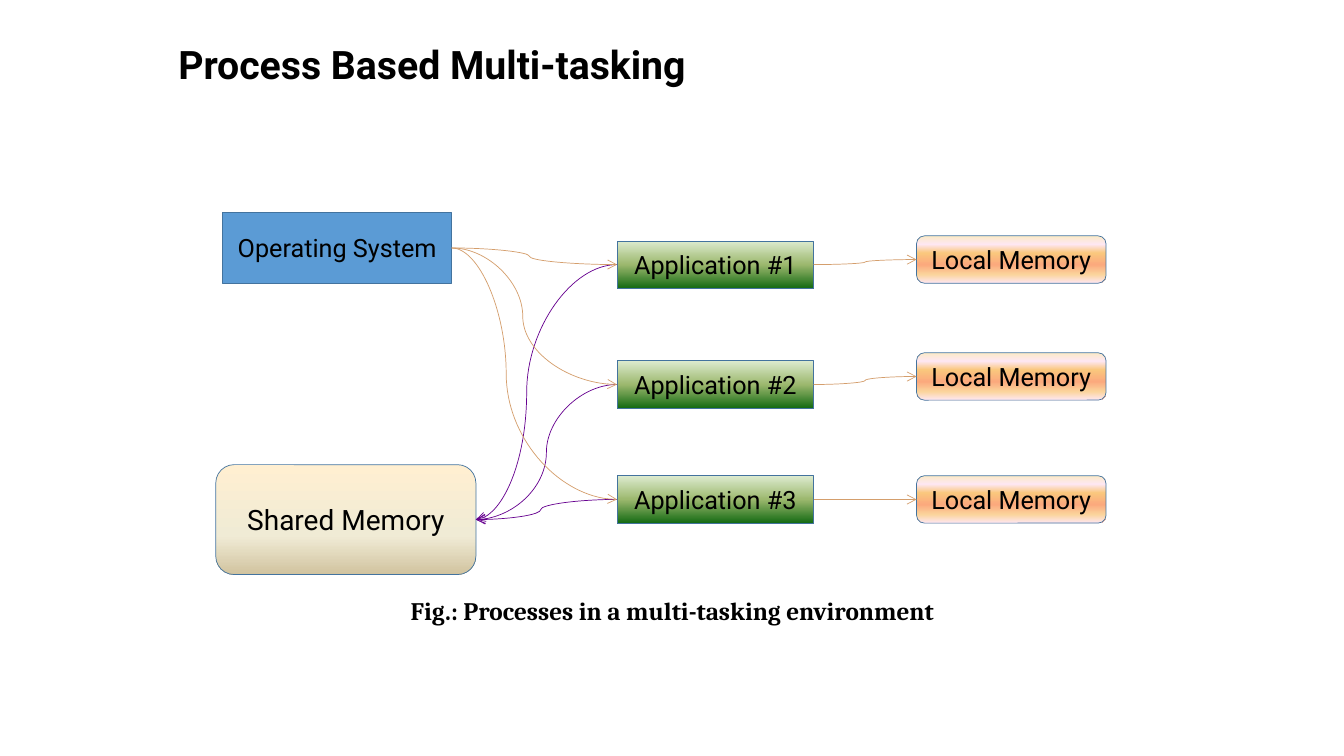
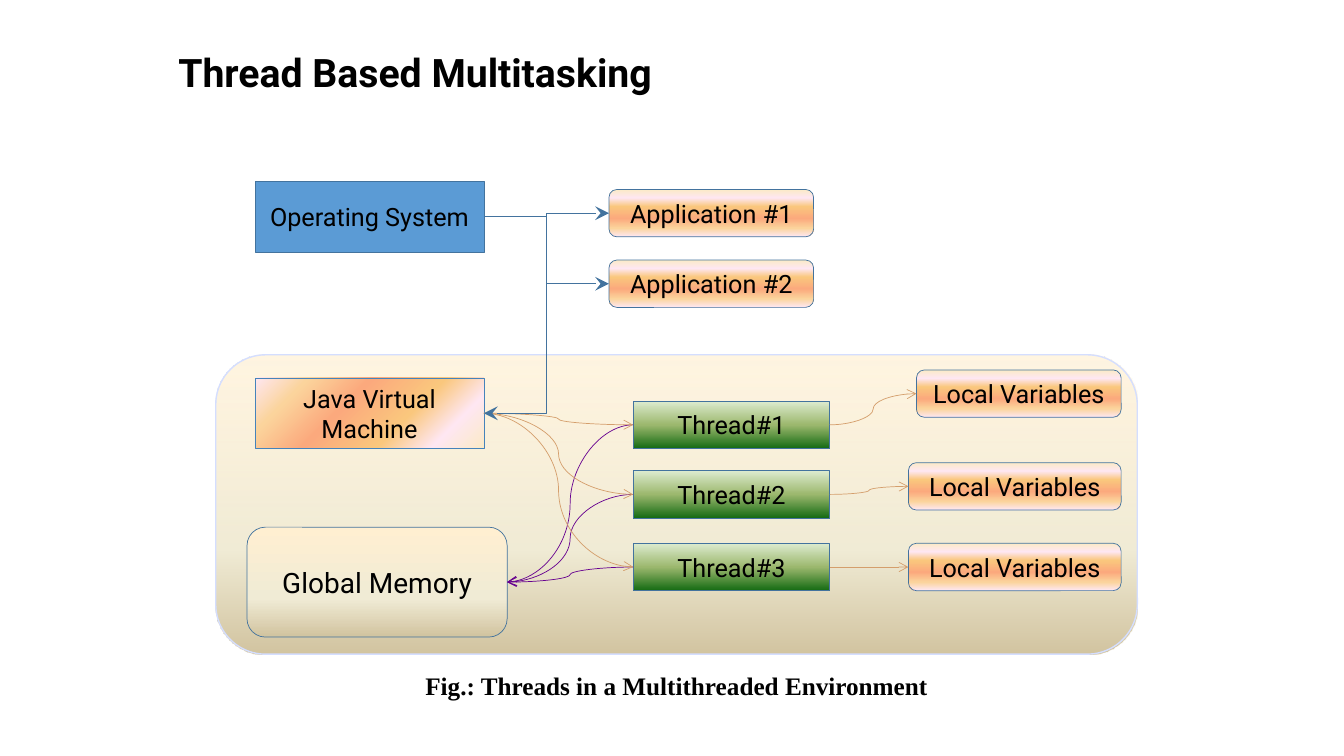
from lxml.etree import SubElement
from pptx import Presentation
from pptx.dml.color import RGBColor
from pptx.enum.shapes import MSO_CONNECTOR, MSO_SHAPE
from pptx.enum.text import MSO_ANCHOR, PP_ALIGN
from pptx.oxml import parse_xml
from pptx.oxml.ns import nsdecls, qn
from pptx.util import Inches, Pt

HUES = {"ink": "000000", "edge": "43739E", "rim": "D4DEFF", "core": "4583BB",
        "blue": "5B9BD5", "tan": "D49E6C", "plum": "66008F"}
PEACH = [(0, "FBEAC7"), (18, "FEE7F2"), (36, "FAC77D"),
         (61, "FBA97D"), (82, "FBD49C"), (100, "FEE7F2")]
GREEN = [(0, "DDEBCF"), (50, "9CB86E"), (100, "156B13")]
SAND = [(0, "FFEFD1"), (65, "F0EBD5"), (100, "D1C39F")]
DOWN = '<a:lin ang="5400000" scaled="0"/>'
ROUND = '<a:path path="circle"><a:fillToRect l="100000" t="100000"/></a:path>'
RECT, SOFT = MSO_SHAPE.RECTANGLE, MSO_SHAPE.ROUNDED_RECTANGLE
LEFT, RIGHT = 1, 3


class Deck:
    """Hold the shared style and the current slide, and draw its elements."""

    def __init__(self):
        self.prs = Presentation()
        self.prs.slide_width = Inches(13.33)
        self.prs.slide_height = Inches(7.5)
        self.slide = None

    def hue(self, name):
        return RGBColor.from_string(HUES[name])

    def words(self, frame, text, size, font="Roboto", bold=False, align=PP_ALIGN.CENTER):
        frame.word_wrap = True
        para = frame.paragraphs[0]
        para.text = text
        para.alignment = align
        para.font.size = Pt(size)
        para.font.name = font
        para.font.bold = bold
        para.font.color.rgb = self.hue("ink")
        return para

    def label(self, x, y, w, h):
        return self.slide.shapes.add_textbox(*map(Inches, (x, y, w, h))).text_frame

    def page(self, title, height):
        self.slide = self.prs.slides.add_slide(self.prs.slide_layouts[6])
        frame = self.label(1.67, 0, 9.5, height)
        frame.vertical_anchor = MSO_ANCHOR.BOTTOM
        self.words(frame, title, 28, bold=True, align=PP_ALIGN.LEFT).line_spacing = 0.9

    def caption(self, text, font, x, y, w, gap=0):
        para = self.words(self.label(x, y, w, 0.4), text, 18, font, bold=True)
        para.space_before = Pt(gap)

    def blend(self, shape, stops, alpha, flow):
        marks = ""
        for spot, tone in stops:
            fade = f'<a:alpha val="{alpha * 1000}"/>' if spot == 0 and alpha < 100 else ""
            marks += f'<a:gs pos="{spot * 1000}"><a:srgbClr val="{tone}">{fade}</a:srgbClr></a:gs>'
        fill = parse_xml(f'<a:gradFill {nsdecls("a")} rotWithShape="1">'
                         f'<a:gsLst>{marks}</a:gsLst>{flow}</a:gradFill>')
        shape._element.spPr.find(qn("a:prstGeom")).addnext(fill)

    def box(self, kind, x, y, w, h, fill, text="", size=18, edge="edge",
            width=0.5, alpha=100, flow=DOWN):
        shape = self.slide.shapes.add_shape(kind, *map(Inches, (x, y, w, h)))
        shape.shadow.inherit = False
        if isinstance(fill, str):
            shape.fill.solid()
            shape.fill.fore_color.rgb = self.hue(fill)
        else:
            self.blend(shape, fill, alpha, flow)
        shape.line.color.rgb = self.hue(edge)
        shape.line.width = Pt(width)
        if text:
            shape.text_frame.vertical_anchor = MSO_ANCHOR.MIDDLE
            self.words(shape.text_frame, text, size)
        return shape

    def line(self, kind, ends, tone, tip="arrow", side="tailEnd", size="med"):
        wire = self.slide.shapes.add_connector(kind, *ends)
        wire.line.color.rgb = self.hue(tone)
        wire.line.width = Pt(0.5)
        stroke = wire._element.spPr.find(qn("a:ln"))
        SubElement(stroke, qn(f"a:{side}"), type=tip, w=size, len=size)
        SubElement(wire._element.spPr, qn("a:effectLst"))
        return wire

    def link(self, start, end, tone, bend=0.5, back=False, kind=MSO_CONNECTOR.CURVE, **tip):
        wire = self.line(kind, (0, 0, 0, 0), tone, **tip)
        wire.begin_connect(start, LEFT if back else RIGHT)
        wire.end_connect(end, RIGHT if back else LEFT)
        rule = wire._element.spPr.find(qn("a:prstGeom")).get_or_add_avLst()
        SubElement(rule, qn("a:gd"), name="adj1", fmla=f"val {round(bend * 100000)}")

    def corner(self, ends, tone, **tip):
        wire = self.line(MSO_CONNECTOR.ELBOW, ends, tone, **tip)
        wire._element.spPr.find(qn("a:prstGeom")).set("prst", "bentConnector2")

    def stack(self, kind, spots, right, fill, texts):
        return [self.box(kind, x, y, right - x, 0.47, fill, text)
                for (x, y), text in zip(spots, texts)]

    def web(self, root, store, tasks, cells, backs, bends):
        for task, bend in zip(tasks, backs):
            self.link(task, store, "plum", bend, back=True)
        for task, bend in zip(tasks, bends):
            self.link(root, task, "tan", bend)
        for task, cell in zip(tasks, cells):
            self.link(task, cell, "tan")


def process(deck):
    deck.page("Process Based Multi-tasking", 0.92)
    cells = deck.stack(SOFT, [(9.09, y) for y in (2.34, 3.5, 4.72)], 10.97,
                       PEACH, ["Local Memory"] * 3)
    apps = deck.stack(RECT, [(6.12, y) for y in (2.39, 3.58, 4.72)], 8.07,
                      GREEN, [f"Application #{n}" for n in (1, 2, 3)])
    host = deck.box(RECT, 2.21, 2.11, 2.27, 0.7, "blue", "Operating System")
    store = deck.box(SOFT, 2.14, 4.61, 2.58, 1.09, SAND, "Shared Memory", 20)
    deck.web(host, store, apps, cells, (0.64, 0.5, 0.54), (0.47, 0.43, 0.33))
    deck.caption("Fig.: Processes in a multi-tasking environment", "Cambria", 1.67, 5.86, 10)


def thread(deck):
    deck.page("Thread Based Multitasking", 1)
    deck.box(SOFT, 2.14, 3.52, 9.14, 2.97, SAND, edge="rim", width=1, alpha=64)
    cells = deck.stack(SOFT, [(9.09, 3.67), (9.01, 4.59), (9.01, 5.39)], 11.12,
                       PEACH, ["Local Variables"] * 3)
    tasks = deck.stack(RECT, [(6.28, y) for y in (3.98, 4.67, 5.39)], 8.23,
                       GREEN, [f"Thread#{n}" for n in (1, 2, 3)])
    engine = deck.box(RECT, 2.53, 3.75, 2.27, 0.7, PEACH, "Java Virtual Machine",
                      edge="core", flow=ROUND)
    store = deck.box(SOFT, 2.45, 5.23, 2.58, 1.09, SAND, "Global Memory", 20)
    deck.web(engine, store, tasks, cells, [0.5] * 3, [0.5] * 3)
    host = deck.box(RECT, 2.53, 1.8, 2.27, 0.7, "blue", "Operating System")
    apps = deck.stack(SOFT, [(6.04, 1.88), (6.04, 2.58)], 8.07,
                      PEACH, [f"Application #{n}" for n in (1, 2)])
    for app in apps:
        deck.link(host, app, "edge", kind=MSO_CONNECTOR.ELBOW, tip="stealth", size="lg")
    deck.corner(map(Inches, (4.8, 4.1, 5.42, 2.81)), "edge",
                tip="stealth", side="headEnd", size="lg")
    deck.caption("Fig.: Threads in a Multithreaded Environment", "Times New Roman",
                 2.21, 6.6, 9, gap=3.6)


def main():
    deck = Deck()
    process(deck)
    thread(deck)
    deck.prs.save("out.pptx")


if __name__ == "__main__":
    main()
